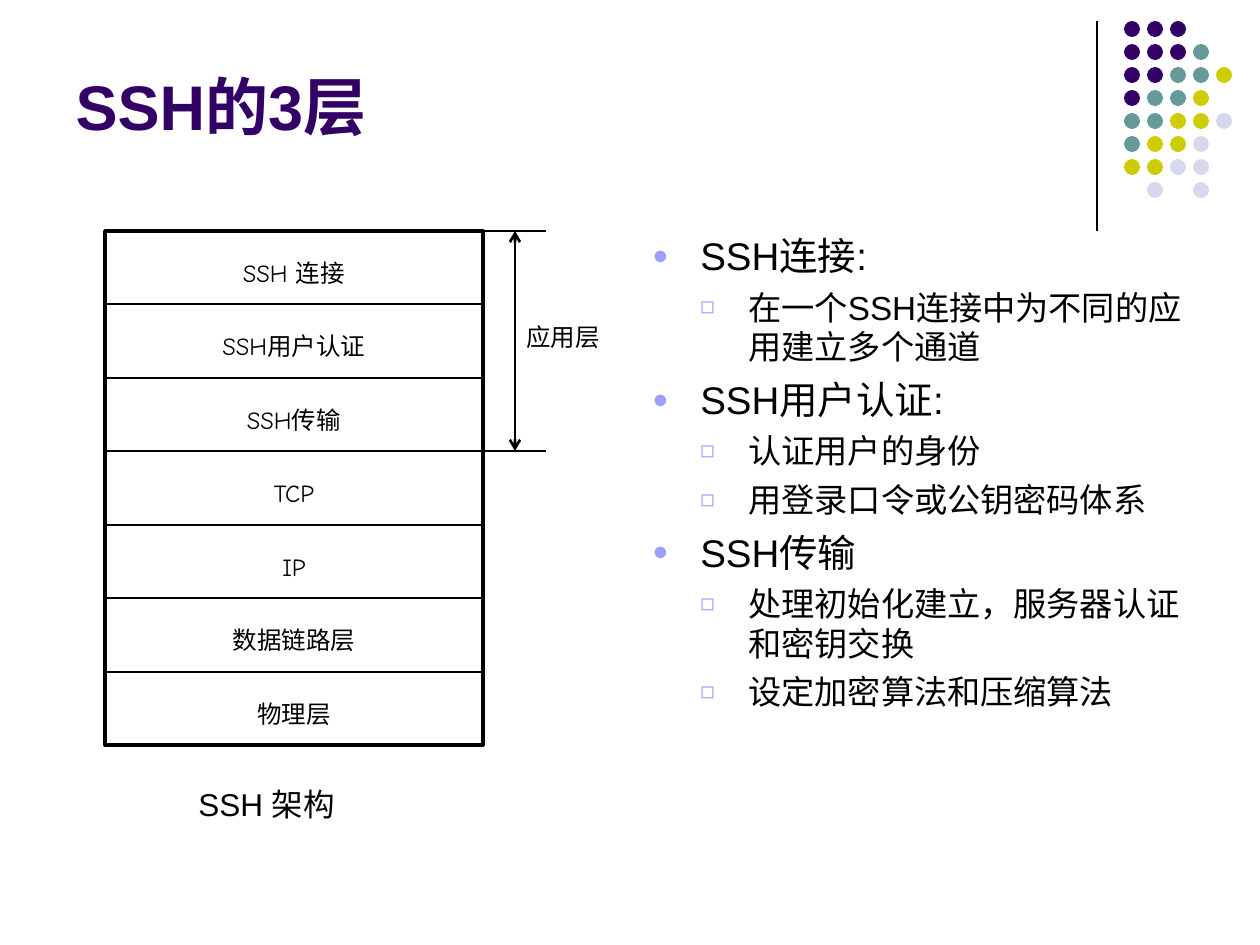
from lxml import etree
from pptx import Presentation
from pptx import util as u
from pptx.dml.color import RGBColor
from pptx.enum import shapes, text
from pptx.oxml.ns import qn

PX = 914400 / 126


def px(*nums):
    return [u.Emu(round(n * PX)) for n in nums]


def rgb(code):
    return RGBColor.from_string(code)


deck = Presentation()
deck.slide_width, deck.slide_height = px(1260, 945)
slide = deck.slides.add_slide(deck.slide_layouts[5])
items = slide.shapes

dots = ["ppp", "pppt", "pptty", "ptty", "ttyyl", "tyyl", "yyll", " l l"]
hues = {"p": "330066", "t": "669999", "y": "CCCC00", "l": "D8D8EC"}
for row, keys in enumerate(dots):
    for col, key in enumerate(keys):
        if key in hues:
            dot = items.add_shape(shapes.MSO_SHAPE.OVAL, *px(1124 + 23 * col, 21 + 23 * row, 16, 16))
            dot.shadow.inherit = False
            dot.fill.solid()
            dot.fill.fore_color.rgb = rgb(hues[key])
            dot.line.fill.background()

layers = ["SSH 连接", "SSH用户认证", "SSH传输", "TCP", "IP", "数据链路层", "物理层"]
left, top, wide, high = 105, 231, 378, 514
edges = [top + round(high * i / len(layers)) for i in range(len(layers))]

frame = items.add_shape(shapes.MSO_SHAPE.RECTANGLE, *px(left, top, wide, high))
frame.shadow.inherit = False
frame.fill.solid()
frame.fill.fore_color.rgb = rgb("FFFFFF")
frame.line.color.rgb = rgb("000000")
frame.line.width = u.Pt(2)

lines = [(1097, 21, 1097, 231, 0.75)]
for i, y in enumerate(edges):
    lines.append((left, y, 546 if i in (0, 3) else left + wide, y, 1.5))
lines.append((515, edges[0], 515, edges[3], 1.5))
for *ends, width in lines:
    line = items.add_connector(shapes.MSO_CONNECTOR.STRAIGHT, *px(*ends))
    line.line.color.rgb = rgb("000000")
    line.line.width = u.Pt(width)
    props = line._element.spPr
    etree.SubElement(props, qn("a:effectLst"))
for end in ("a:headEnd", "a:tailEnd"):
    etree.SubElement(props.find(qn("a:ln")), qn(end), type="arrow")

small = {"name": "Comic Neue", "size": u.Pt(14)}
mid = text.PP_ALIGN.CENTER
start = text.PP_ALIGN.LEFT
notes = [(name, (left, y + 21, wide, 43), small, mid, True) for name, y in zip(layers, edges)]
notes.append(("应用层", (514, 316, 168, 43), small, start, True))
notes.append(("SSH 架构", (186, 779, 169, 50), {"name": "Arial", "size": u.Pt(18)}, start, False))
for words, place, style, align, wrap in notes:
    frame = items.add_textbox(*px(*place)).text_frame
    frame.word_wrap = wrap
    frame.auto_size = text.MSO_AUTO_SIZE.SHAPE_TO_FIT_TEXT
    para = frame.paragraphs[0]
    para.text = words
    para.alignment = align
    for key, value in style.items():
        setattr(para.font, key, value)
    para.font.color.rgb = rgb("000000")

title = items.title
title.left, title.top, title.width, title.height = px(63, 16, 1040, 179)
frame = title.text_frame
frame.text = "SSH的3层"
frame.auto_size = text.MSO_AUTO_SIZE.NONE
frame.vertical_anchor = text.MSO_ANCHOR.MIDDLE
para = frame.paragraphs[0]
para.alignment = start
for key, value in {"name": "Arial", "size": u.Pt(36), "bold": True}.items():
    setattr(para.font, key, value)
para.font.color.rgb = rgb("330066")

points = [
    (0, "SSH连接:"),
    (1, "在一个SSH连接中为不同的应用建立多个通道"),
    (0, "SSH用户认证:"),
    (1, "认证用户的身份"),
    (1, "用登录口令或公钥密码体系"),
    (0, "SSH传输"),
    (1, "处理初始化建立，服务器认证和密钥交换"),
    (1, "设定加密算法和压缩算法"),
]
looks = [
    {"size": 22, "before": 5.5, "mark": "●", "indent": 48},
    {"size": 19, "before": 4.8, "mark": "◻", "indent": 96},
]
frame = items.add_textbox(*px(640, 226, 557, 624)).text_frame
frame.word_wrap = True
for i, (level, words) in enumerate(points):
    look = looks[level]
    para = frame.add_paragraph() if i else frame.paragraphs[0]
    para.text = words
    para.level = level
    para.space_before = u.Pt(look["before"] if i else 0)
    props = para._p.get_or_add_pPr()
    for key, value in {"marL": look["indent"], "indent": -48}.items():
        props.set(key, str(px(value)[0]))
    tint = etree.SubElement(props, qn("a:buClr"))
    etree.SubElement(tint, qn("a:srgbClr"), val="9E9EFF")
    etree.SubElement(props, qn("a:buSzPct"), val="70000")
    etree.SubElement(props, qn("a:buFont"), typeface="Arial")
    etree.SubElement(props, qn("a:buChar"), char=look["mark"])
    for key, value in {"name": "Arial", "size": u.Pt(look["size"])}.items():
        setattr(para.font, key, value)
    para.font.color.rgb = rgb("000000")

deck.save("out.pptx")
